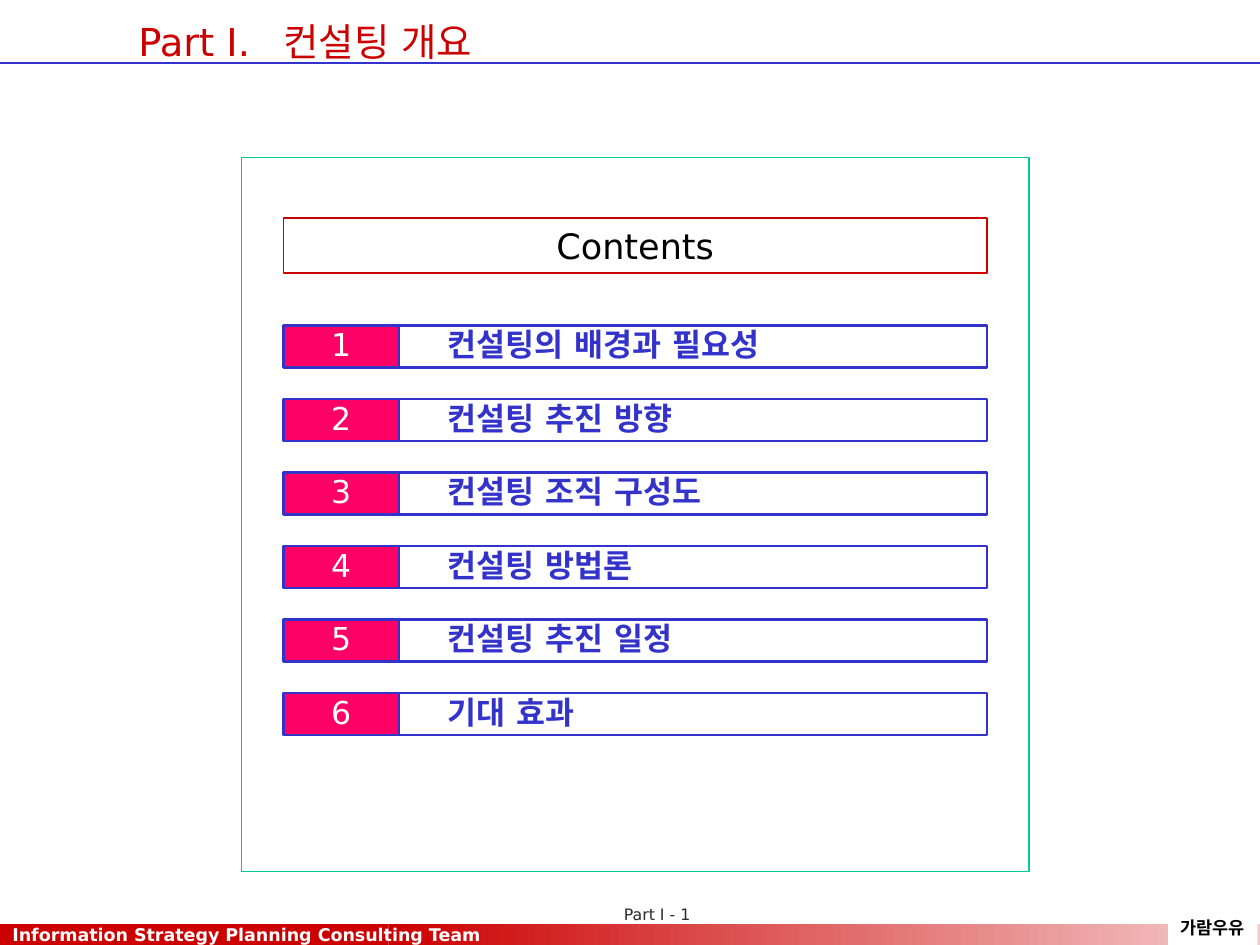
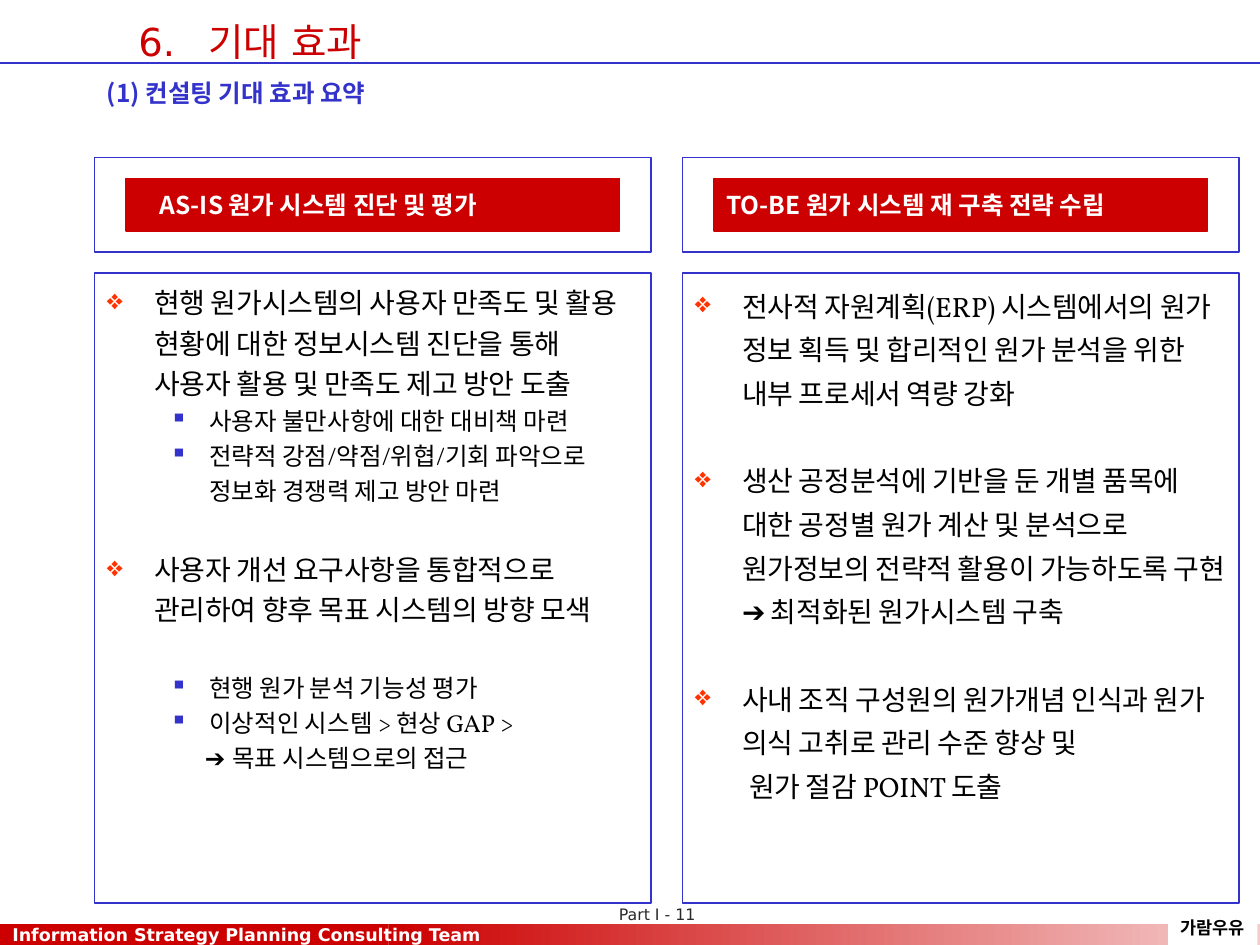
from lxml import etree
from pptx import Presentation
from pptx.dml.color import RGBColor
from pptx.enum.shapes import MSO_CONNECTOR, MSO_SHAPE
from pptx.enum.text import MSO_ANCHOR, PP_ALIGN
from pptx.oxml.ns import qn
from pptx.util import Pt

RECTANGLE = MSO_SHAPE.RECTANGLE
STRAIGHT = MSO_CONNECTOR.STRAIGHT
TOP, MIDDLE = MSO_ANCHOR.TOP, MSO_ANCHOR.MIDDLE
LEFT, CENTER = PP_ALIGN.LEFT, PP_ALIGN.CENTER

# Shared look
RED, PALE_RED, PINK, ORANGE = "CC0000", "F5CCCC", "FF0066", "FF3300"
BLUE, GREEN = "3333CC", "00CC99"
BLACK, GRAY, WHITE = "000000", "292929", "FFFFFF"
SANS, KOREAN, SERIF, SYMBOL = "DejaVu Sans", "Noto Sans CJK KR", "Vollkorn", "Arial"
PAGE_WIDTH, PAGE_HEIGHT = 720, 540

# Body levels: left margin, first-line indent, size, bullet, bullet colour
LEVELS = {
    "point": (27, -27, 16, "❖", ORANGE),
    "detail": (58.5, -22.5, 14, "▪", BLUE),
    "detail_follow": (56, 0, 14, None, None),
    "point_follow": (31, 0, 16, None, None),
}

TOPICS = ["컨설팅의 배경과 필요성", "컨설팅 추진 방향", "컨설팅 조직 구성도",
          "컨설팅 방법론", "컨설팅 추진 일정", "기대 효과"]

# Panels: heading, heading indent, line spacing, (level, space before, text pieces)
PANELS = [
    ("AS-IS 원가 시스템 진단 및 평가", 12, 1.2, [
        ("point", 0, ["현행 원가시스템의 사용자 만족도 및 활용 현황에 대한 "
                      "정보시스템 진단을 통해 사용자 활용 및 만족도 제고 방안 도출"]),
        ("detail", 0, ["사용자 불만사항에 대한 대비책 마련"]),
        ("detail", 0, ["전략적 강점/약점/위협/기회 파악으로 정보화 경쟁력 제고 방안 마련"]),
        ("point", 23, ["사용자 개선 요구사항을 통합적으로 관리하여 "
                       "향후 목표 시스템의 방향 모색"]),
        ("detail", 23, ["현행 원가 분석 기능성 평가"]),
        ("detail", 0, ["이상적인 시스템 > 현상 GAP >"]),
        ("detail_follow", 0, ["➔ ", "목표 시스템으로의 접근"]),
    ]),
    ("TO-BE 원가 시스템 재 구축 전략 수립", 0, 1.3, [
        ("point", 0, ["전사적 자원계획(ERP) 시스템에서의 원가 정보 획득 및 "
                      "합리적인 원가 분석을 위한 내부 프로세서 역량 강화"]),
        ("point", 25, ["생산 공정분석에 기반을 둔 개별 품목에 대한 공정별 원가 계산 및 "
                       "분석으로 원가정보의 전략적 활용이 가능하도록 구현 ",
                       "➔", " 최적화된 원가시스템 구축"]),
        ("point", 25, ["사내 조직 구성원의 원가개념 인식과 원가 의식 고취로 "
                       "관리 수준 향상 및"]),
        ("point_follow", 0, ["원가 절감 POINT 도출"]),
    ]),
]


def color(value):
    return RGBColor.from_string(value)


def add_box(page, left, top, width, height, fill=None, line=None, weight=0.75):
    box = page.shapes.add_shape(RECTANGLE, Pt(left), Pt(top), Pt(width), Pt(height))
    box.shadow.inherit = False
    if fill:
        box.fill.solid()
        box.fill.fore_color.rgb = color(fill)
    else:
        box.fill.background()
    if line:
        box.line.color.rgb = color(line)
        box.line.width = Pt(weight)
    else:
        box.line.fill.background()
    return box


def add_text_box(page, left, top, width, height):
    return page.shapes.add_textbox(Pt(left), Pt(top), Pt(width), Pt(height))


def set_frame(box, anchor=MIDDLE, wrap=True, inset=7.2, right_inset=7.2):
    frame = box.text_frame
    frame.word_wrap = wrap
    frame.vertical_anchor = anchor
    frame.margin_left, frame.margin_right = Pt(inset), Pt(right_inset)
    frame.margin_top = frame.margin_bottom = Pt(3.6)
    return frame


def add_span(para, text, size, font, ink, bold=False):
    span = para.add_run()
    span.text = text
    span.font.size = Pt(size)
    span.font.name = font
    span.font.bold = bold
    span.font.color.rgb = color(ink)
    # East Asian glyphs follow the same font choice
    etree.SubElement(span.font._element, qn("a:ea"), typeface=font)


def write(box, text, size, ink, font=SANS, bold=False, align=LEFT, spacing=1.0, **frame):
    para = set_frame(box, **frame).paragraphs[0]
    para.alignment = align
    para.line_spacing = spacing
    add_span(para, text, size, font, ink, bold)
    return para


def set_indent(para, margin, indent):
    properties = para._p.get_or_add_pPr()
    properties.set("marL", str(Pt(margin)))
    properties.set("indent", str(Pt(indent)))
    return properties


def add_tab(para, position):
    tabs = etree.SubElement(para._p.get_or_add_pPr(), qn("a:tabLst"))
    etree.SubElement(tabs, qn("a:tab"), pos=str(Pt(position)), algn="l")


def add_bullet(properties, bullet, ink):
    tint = etree.SubElement(properties, qn("a:buClr"))
    etree.SubElement(tint, qn("a:srgbClr"), val=ink)
    etree.SubElement(properties, qn("a:buChar"), char=bullet)


def add_rule(page, y):
    rule = page.shapes.add_connector(STRAIGHT, 0, Pt(y), Pt(PAGE_WIDTH), Pt(y))
    rule.line.color.rgb = color(BLUE)
    rule.line.width = Pt(0.75)
    etree.SubElement(rule._element.spPr, qn("a:effectLst"))


def add_page(deck, title, title_tab, number):
    """Blank page with the shared footer band, rule, page number and title."""
    page = deck.slides.add_slide(deck.slide_layouts[6])
    split, band_top, band_height = 222, 528, 12
    fade = add_box(page, split, band_top, PAGE_WIDTH - split, band_height)
    fade.fill.gradient()
    fade.fill.gradient_angle = 0
    for stop, ink in zip(fade.fill.gradient_stops, (RED, PALE_RED)):
        stop.color.rgb = color(ink)
    team = add_box(page, 0, band_top, split, band_height, RED)
    write(team, "Information Strategy Planning Consulting Team", 10, WHITE,
          bold=True, wrap=False)
    add_rule(page, 36)
    client = add_box(page, 667.5, 520.5, 51, 19.5, WHITE)
    write(client, "가람우유", 10, BLACK, KOREAN, True, CENTER, anchor=TOP, wrap=False)
    folio = add_text_box(page, 318, 513.5, 108, 18)
    write(folio, f"Part I - {number}", 9, GRAY, align=CENTER, anchor=TOP,
          wrap=False, right_inset=0)
    heading = add_text_box(page, 72, 0, 558, 36)
    add_tab(write(heading, title, 22, RED, spacing=1.4), title_tab)
    return page


def add_topic(page, number, topic):
    left, number_width, topic_width, height = 162, 66, 336, 24
    top = 186 + 42 * (number - 1)
    label = add_box(page, left + number_width, top, topic_width, height, WHITE, BLUE, 1.5)
    write(label, topic, 18, BLUE, bold=True, spacing=0.9, inset=28)
    badge = add_box(page, left, top, number_width, height, PINK, BLUE, 1.5)
    write(badge, str(number), 18, WHITE, align=CENTER, spacing=0.9)


def add_body(page, left, spacing, items):
    box = add_box(page, left, 156, 318, 360, WHITE, BLUE)
    frame = set_frame(box, anchor=TOP)
    for index, (level, gap, pieces) in enumerate(items):
        margin, indent, size, bullet, bullet_ink = LEVELS[level]
        para = frame.paragraphs[0] if index == 0 else frame.add_paragraph()
        properties = set_indent(para, margin, indent)
        if bullet:
            add_bullet(properties, bullet, bullet_ink)
        para.alignment = LEFT
        para.line_spacing = spacing
        if gap:
            para.space_before = Pt(gap)
        for piece in pieces:
            add_span(para, piece, size, SYMBOL if "➔" in piece else SERIF, BLACK)


def add_panel(page, column, heading, heading_indent, spacing, items):
    left = 54 + 336 * column
    add_body(page, left, spacing, items)
    add_box(page, left, 90, 318, 54, line=BLUE)
    banner = add_box(page, left + 18, 102, 282, 30, RED, RED)
    para = write(banner, heading, 14, WHITE, KOREAN, True)
    set_indent(para, heading_indent, 0)


def main():
    deck = Presentation()
    deck.slide_width, deck.slide_height = Pt(PAGE_WIDTH), Pt(PAGE_HEIGHT)

    # Contents
    page = add_page(deck, "Part I.\t컨설팅 개요", 83, 1)
    add_box(page, 138, 90, 450, 408, line=GREEN)
    contents = add_box(page, 162, 124.5, 402, 31.5, line=RED)
    write(contents, "Contents", 20, BLACK, align=CENTER, anchor=TOP)
    for number, topic in enumerate(TOPICS, 1):
        add_topic(page, number, topic)

    # Expected effects
    page = add_page(deck, "6.\t기대 효과", 40, 11)
    subtitle = add_text_box(page, 54, 36, 594, 24)
    write(subtitle, "(1) 컨설팅 기대 효과 요약", 14, BLUE, KOREAN, True,
          spacing=1.3, anchor=TOP)
    for column, panel in enumerate(PANELS):
        add_panel(page, column, *panel)

    deck.save("out.pptx")


if __name__ == "__main__":
    main()
